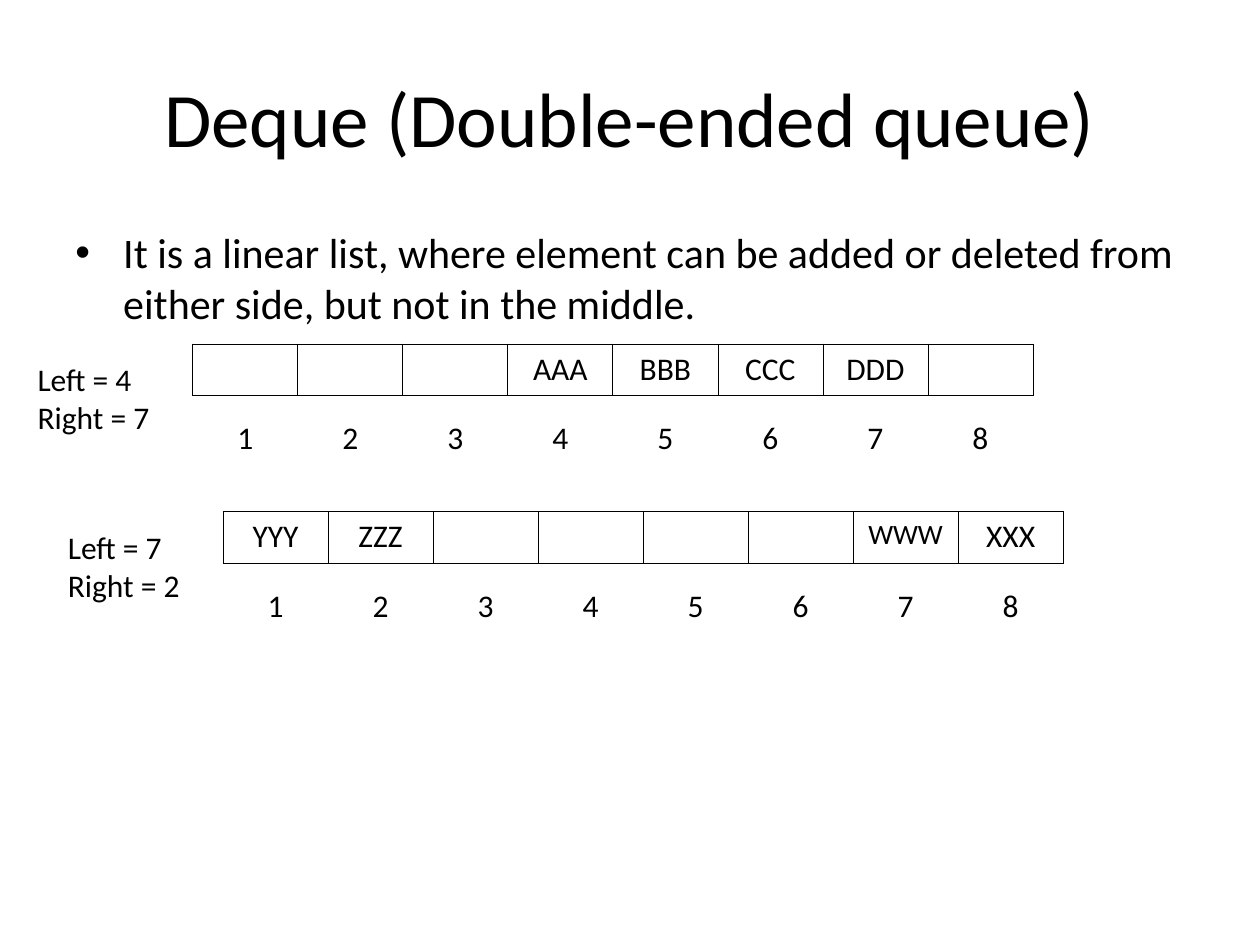
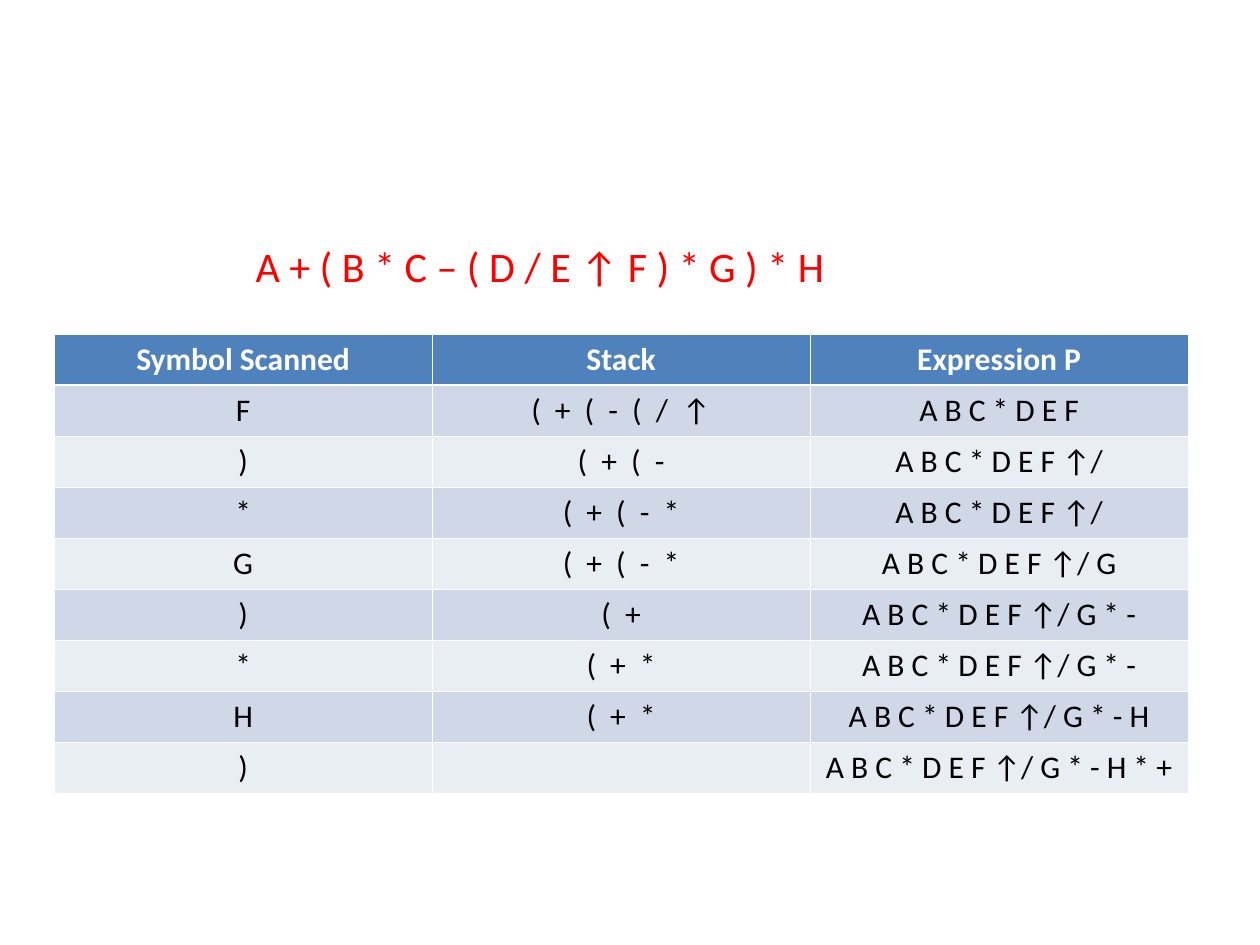
from dataclasses import dataclass
from lxml.etree import SubElement
from pptx import Presentation
from pptx.dml.color import RGBColor
from pptx.enum.text import MSO_ANCHOR, PP_ALIGN
from pptx.oxml import parse_xml
from pptx.oxml.ns import nsdecls, qn
from pptx.util import Inches, Pt


@dataclass(frozen=True)
class Theme:
    font: str = "Calibri"
    ink: str = "000000"
    white: str = "FFFFFF"
    red: str = "FF0000"
    head: str = "4F81BD"
    bands: tuple = ("D0D8E8", "E9EDF4")
    title: int = 44
    body: int = 24
    text: int = 18
    small: int = 16
    thin: float = 0.45
    thick: float = 1.47


THEME = Theme()
PLAIN = "{2D5ABB26-0587-4C30-8999-92F81FD0307C}"  # no style, no grid
CELLS = 8


def add_run(para, text, size=THEME.text, color=THEME.ink, bold=False, gap=0):
    run = para.add_run()
    run.text = text
    font = run.font
    font.name, font.size, font.bold = THEME.font, Pt(size), bold
    font.color.rgb = RGBColor.from_string(color)
    if gap:  # letter spacing in points
        run._r.get_or_add_rPr().set("spc", str(gap * 100))


def add_text(slide, place, lines, size=THEME.text, color=THEME.ink):
    box = slide.shapes.add_textbox(*map(Inches, place))
    frame = box.text_frame
    frame.word_wrap = True
    for i, line in enumerate(lines):
        para = frame.add_paragraph() if i else frame.paragraphs[0]
        add_run(para, line, size, color)
    return frame


def add_title(slide, text):
    frame = add_text(slide, (0.5, 0.3, 9, 1.25), [text], THEME.title)
    frame.vertical_anchor = MSO_ANCHOR.MIDDLE
    frame.paragraphs[0].alignment = PP_ALIGN.CENTER


def add_bullet(slide, text):
    frame = add_text(slide, (0.5, 1.75, 9, 4.95), [text], THEME.body)
    props = frame.paragraphs[0]._p.get_or_add_pPr()
    props.set("marL", str(Inches(0.38)))
    props.set("indent", str(-Inches(0.38)))
    SubElement(props, qn("a:buFont"), typeface="Arial")
    SubElement(props, qn("a:buChar"), char="•")


def add_grid(slide, place, rows, cols):
    left, top, width, height = map(Inches, place)
    table = slide.shapes.add_table(rows, cols, left, top, width, height).table
    table.first_row = table.horz_banding = False
    table._tbl.tblPr.find(qn("a:tableStyleId")).text = PLAIN
    for col in table.columns:
        col.width = width // cols
    for row in table.rows:
        row.height = height // rows
    return table


def fill_cell(cell, text, fill=None, **style):
    if fill:
        cell.fill.solid()
        cell.fill.fore_color.rgb = RGBColor.from_string(fill)
    else:
        cell.fill.background()
    if text:
        para = cell.text_frame.paragraphs[0]
        para.alignment = PP_ALIGN.CENTER
        add_run(para, text, **style)


def edge_cell(cell, color, top=THEME.thin, low=THEME.thin):
    props = cell._tc.get_or_add_tcPr()
    widths = {"L": THEME.thin, "R": THEME.thin, "T": top, "B": low}
    for i, (side, width) in enumerate(widths.items()):
        props.insert(i, parse_xml(
            f'<a:ln{side} {nsdecls("a")} w="{Pt(width)}"><a:solidFill>'
            f'<a:srgbClr val="{color}"/></a:solidFill></a:ln{side}>'))


def add_deque(slide, left, top, items, ends):
    """Draw the slots, their numbers below, and the two end marks beside."""
    slots = add_grid(slide, (left, top, 6.67, 0.41), 1, CELLS)
    marks = add_grid(slide, (left, top + 0.55, 6.67, 0.41), 1, CELLS)
    for i in range(CELLS):
        item = items.get(i + 1, "")
        size = THEME.small if item == "WWW" else THEME.text
        fill_cell(slots.cell(0, i), item, size=size)
        edge_cell(slots.cell(0, i), THEME.ink)
        fill_cell(marks.cell(0, i), str(i + 1))
    lines = [f"{name} = {pos}" for name, pos in zip(("Left", "Right"), ends)]
    add_text(slide, (left - 1.33, top + 0.08, 1.26, 0.7), lines)


def add_trace(slide, heads, rows):
    """Draw the banded table of scan steps."""
    table = add_grid(slide, (0.43, 2.65, 9, 3.65), len(rows) + 1, len(heads))
    for c, head in enumerate(heads):
        cell = table.cell(0, c)
        fill_cell(cell, head, THEME.head, color=THEME.white, bold=True)
        edge_cell(cell, THEME.white, low=THEME.thick)
    for r, row in enumerate(rows, 1):
        for c, text in enumerate(row):
            cell = table.cell(r, c)
            gap = 2 if c == 1 else 0  # stack symbols stand wider apart
            fill_cell(cell, text, THEME.bands[(r - 1) % 2], gap=gap)
            edge_cell(cell, THEME.white,
                      top=THEME.thick if r == 1 else THEME.thin)


def main():
    deck = Presentation()
    deck.slide_width, deck.slide_height = Inches(10), Inches(7.5)
    blank = deck.slide_layouts[6]

    # Deque
    slide = deck.slides.add_slide(blank)
    add_title(slide, "Deque (Double-ended queue)")
    add_bullet(slide, "It is a linear list, where element can be added or "
                      "deleted from either side, but not in the middle.")
    add_deque(slide, 1.53, 2.73,
              {4: "AAA", 5: "BBB", 6: "CCC", 7: "DDD"}, (4, 7))
    add_deque(slide, 1.77, 4.06,
              {1: "YYY", 2: "ZZZ", 7: "WWW", 8: "XXX"}, (7, 2))

    # Infix to postfix
    slide = deck.slides.add_slide(blank)
    add_trace(slide, ("Symbol Scanned", "Stack", "Expression P"), [
        ("F", "( + ( - ( / ↑", "A B C * D E F"),
        (")", "( + ( -", "A B C * D E F ↑/"),
        ("*", "( + ( - *", "A B C * D E F ↑/"),
        ("G", "( + ( - *", "A B C * D E F ↑/ G"),
        (")", "( +", "A B C * D E F ↑/ G * -"),
        ("*", "( + *", "A B C * D E F ↑/ G * -"),
        ("H", "( + *", "A B C * D E F ↑/ G * - H"),
        (")", "", "A B C * D E F ↑/ G * - H * +"),
    ])
    add_text(slide, (1.93, 1.86, 5.98, 0.5),
             ["A + ( B * C – ( D / E ↑ F ) * G ) * H"], THEME.body, THEME.red)

    deck.save("out.pptx")


if __name__ == "__main__":
    main()
